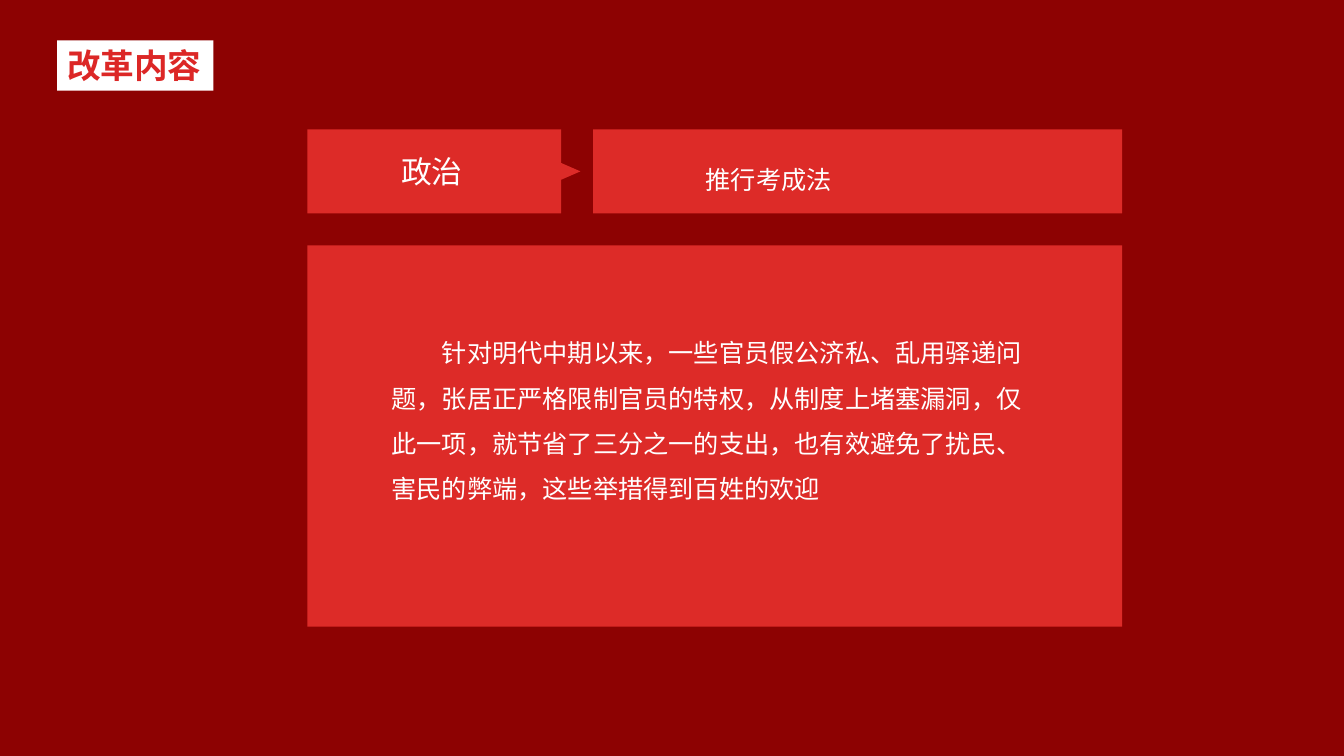
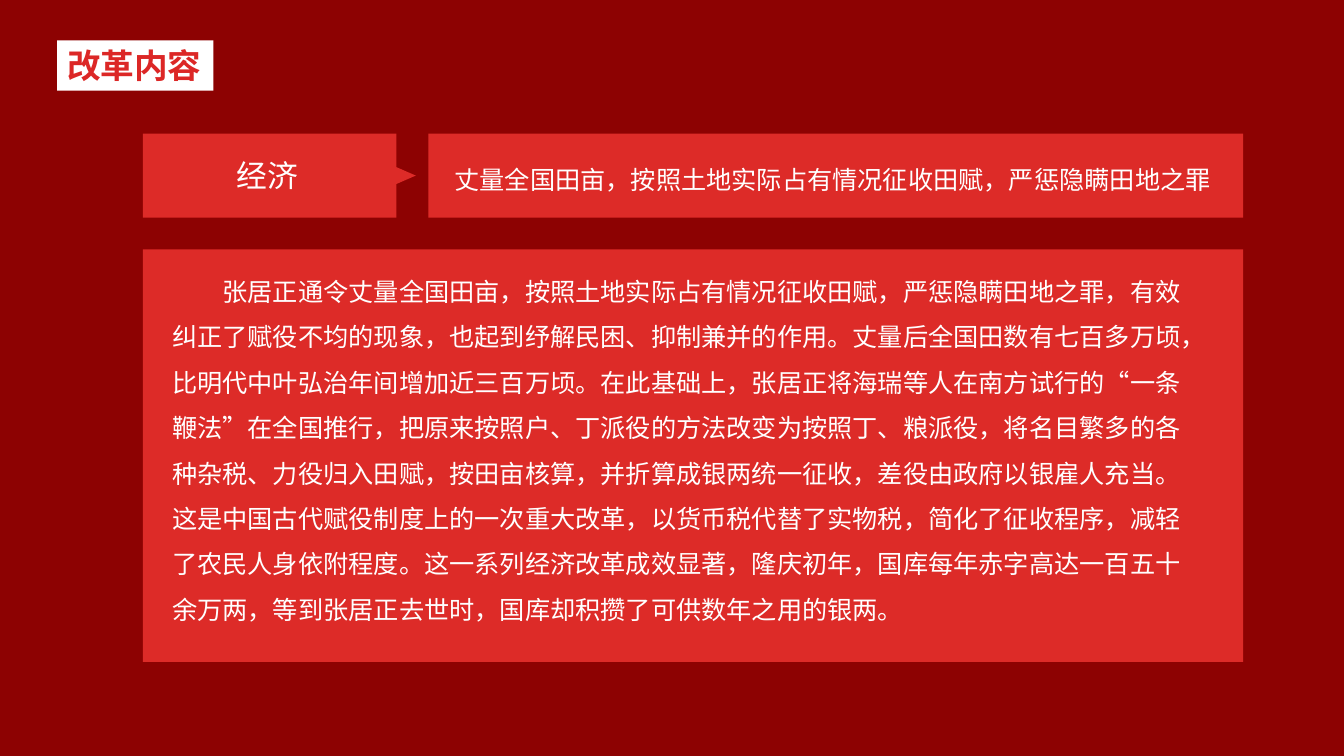
from pptx import Presentation
from pptx import util as u
from pptx.dml.color import RGBColor
from pptx.enum import shapes, text
from pptx.oxml.ns import qn
from lxml import etree

DARK_RED = RGBColor(0x8D, 0x02, 0x02)
PANEL_RED = RGBColor(0xDD, 0x2B, 0x28)
TAG_RED = RGBColor(0xDC, 0x27, 0x26)
WHITE = RGBColor(0xFF, 0xFF, 0xFF)
CJK_FONT = "Noto Sans CJK SC"

SLIDE_WIDTH, SLIDE_HEIGHT = u.Inches(13.33), u.Inches(7.5)
COLUMNS, ROWS = 16, 9
LABEL_WIDTH, BAR_HEIGHT, GAP = 3.02, 1, 0.38
HEADLINE_TOP, HEADLINE_HEIGHT = 1.88, 0.41

TAG = dict(size=u.Pt(24), bold=True, name=CJK_FONT, color=TAG_RED)
LABEL = dict(size=u.Pt(22), name=CJK_FONT, color=WHITE)
HEADLINE = dict(size=u.Pt(18), name="Calibri", color=WHITE)
BODY = dict(HEADLINE, east_asian=CJK_FONT)

# Boxes are left, top, width, height in grid columns and rows.
PAGES = [
    dict(
        left=3.66, top=1.54, width=9.7, body_height=4.54,
        label="政治",
        headline="推行考成法", headline_left=8.4, headline_width=3.52,
        body_box=(4.66, 3.84, 7.68, 2.12),
        body="针对明代中期以来，一些官员假公济私、乱用驿递问题，张居正严格限制官员的特权，"
             "从制度上堵塞漏洞，仅此一项，就节省了三分之一的支出，也有效避免了扰民、"
             "害民的弊端，这些举措得到百姓的欢迎",
    ),
    dict(
        left=1.7, top=1.59, width=13.1, body_height=4.91,
        label="经济",
        headline="丈量全国田亩，按照土地实际占有情况征收田赋，严惩隐瞒田地之罪",
        headline_left=5.41, headline_width=9.26,
        body_box=(2.05, 3.11, 12.26, 4.31),
        body="张居正通令丈量全国田亩，按照土地实际占有情况征收田赋，严惩隐瞒田地之罪，"
             "有效纠正了赋役不均的现象，也起到纾解民困、抑制兼并的作用。"
             "丈量后全国田数有七百多万顷，比明代中叶弘治年间增加近三百万顷。"
             "在此基础上，张居正将海瑞等人在南方试行的“一条鞭法”在全国推行，"
             "把原来按照户、丁派役的方法改变为按照丁、粮派役，将名目繁多的各种杂税、"
             "力役归入田赋，按田亩核算，并折算成银两统一征收，差役由政府以银雇人充当。"
             "这是中国古代赋役制度上的一次重大改革，以货币税代替了实物税，"
             "简化了征收程序，减轻了农民人身依附程度。这一系列经济改革成效显著，"
             "隆庆初年，国库每年赤字高达一百五十余万两，等到张居正去世时，"
             "国库却积攒了可供数年之用的银两。",
    ),
]


def grid(column, row):
    return round(column * SLIDE_WIDTH / COLUMNS), round(row * SLIDE_HEIGHT / ROWS)


def paint(shape, color):
    shape.shadow.inherit = False
    shape.fill.solid()
    shape.fill.fore_color.rgb = color
    shape.line.fill.background()
    return shape


def add_panel(page, left, top, width, height, color=PANEL_RED):
    panel = page.shapes.add_shape(
        shapes.MSO_SHAPE.RECTANGLE, *grid(left, top), *grid(width, height))
    return paint(panel, color)


def add_label_arrow(page, left, top):
    """Draw a bar with a small pointer in the middle of its right edge."""
    outline = [(0, 0), (LABEL_WIDTH, 0), (LABEL_WIDTH, 0.4), (3.25, 0.5),
               (LABEL_WIDTH, 0.6), (LABEL_WIDTH, BAR_HEIGHT), (0, BAR_HEIGHT)]
    points = [grid(left + x, top + y) for x, y in outline]
    builder = page.shapes.build_freeform(*points[0])
    builder.add_line_segments(points[1:])
    paint(builder.convert_to_shape(), PANEL_RED)


def write(frame, words, style, **layout):
    para = frame.paragraphs[0]
    for name, value in layout.items():
        setattr(para, name, value)
    span = para.add_run()
    span.text = words
    for name in ("size", "bold", "name"):
        setattr(span.font, name, style.get(name))
    span.font.color.rgb = style["color"]
    east_asian = etree.SubElement(span.font._element, qn("a:ea"))
    east_asian.set("typeface", style.get("east_asian", style["name"]))
    return para


def add_text(page, area, words, style, anchor=text.MSO_ANCHOR.TOP, **layout):
    left, top, width, height = area
    box = page.shapes.add_textbox(*grid(left, top), *grid(width, height))
    frame = box.text_frame
    settings = dict(word_wrap=True, vertical_anchor=anchor, margin_left=0,
                    margin_right=0, margin_top=0, margin_bottom=0)
    for name, value in settings.items():
        setattr(frame, name, value)
    return write(frame, words, style, **layout)


def add_title_tag(page):
    frame = add_panel(page, 0.68, 0.48, 1.86, 0.6, WHITE).text_frame
    frame.word_wrap = False
    frame.vertical_anchor = text.MSO_ANCHOR.MIDDLE
    write(frame, "改革内容", TAG, alignment=text.PP_ALIGN.LEFT)


def add_reform_page(deck, reform):
    page = deck.slides.add_slide(deck.slide_layouts[6])
    page.background.fill.solid()
    page.background.fill.fore_color.rgb = DARK_RED

    left, top, width = reform["left"], reform["top"], reform["width"]
    offset = LABEL_WIDTH + GAP
    add_panel(page, left + offset, top, width - offset, BAR_HEIGHT)
    add_label_arrow(page, left, top)
    add_text(page, (reform["headline_left"], HEADLINE_TOP,
                    reform["headline_width"], HEADLINE_HEIGHT),
             reform["headline"], HEADLINE, line_spacing=1.2)
    add_text(page, (left + 0.71, top + 0.28, 1.54, 0.44), reform["label"], LABEL,
             text.MSO_ANCHOR.MIDDLE, alignment=text.PP_ALIGN.CENTER)

    add_panel(page, left, top + BAR_HEIGHT + GAP, width, reform["body_height"])
    para = add_text(page, reform["body_box"], reform["body"], BODY,
                    line_spacing=u.Pt(32.4))
    para._p.get_or_add_pPr().set("indent", str(u.Inches(0.5)))
    add_title_tag(page)


def main():
    deck = Presentation()
    deck.slide_width, deck.slide_height = SLIDE_WIDTH, SLIDE_HEIGHT
    for reform in PAGES:
        add_reform_page(deck, reform)
    deck.save("out.pptx")


if __name__ == "__main__":
    main()
